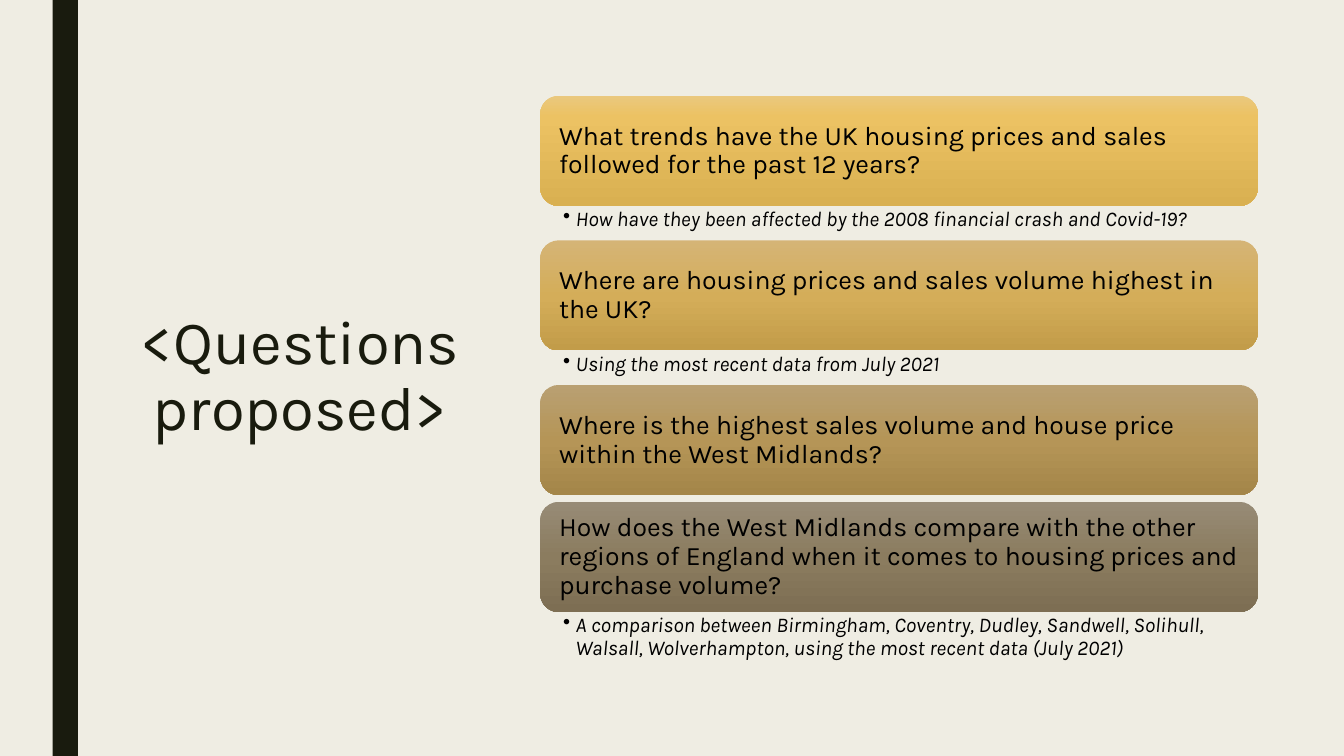
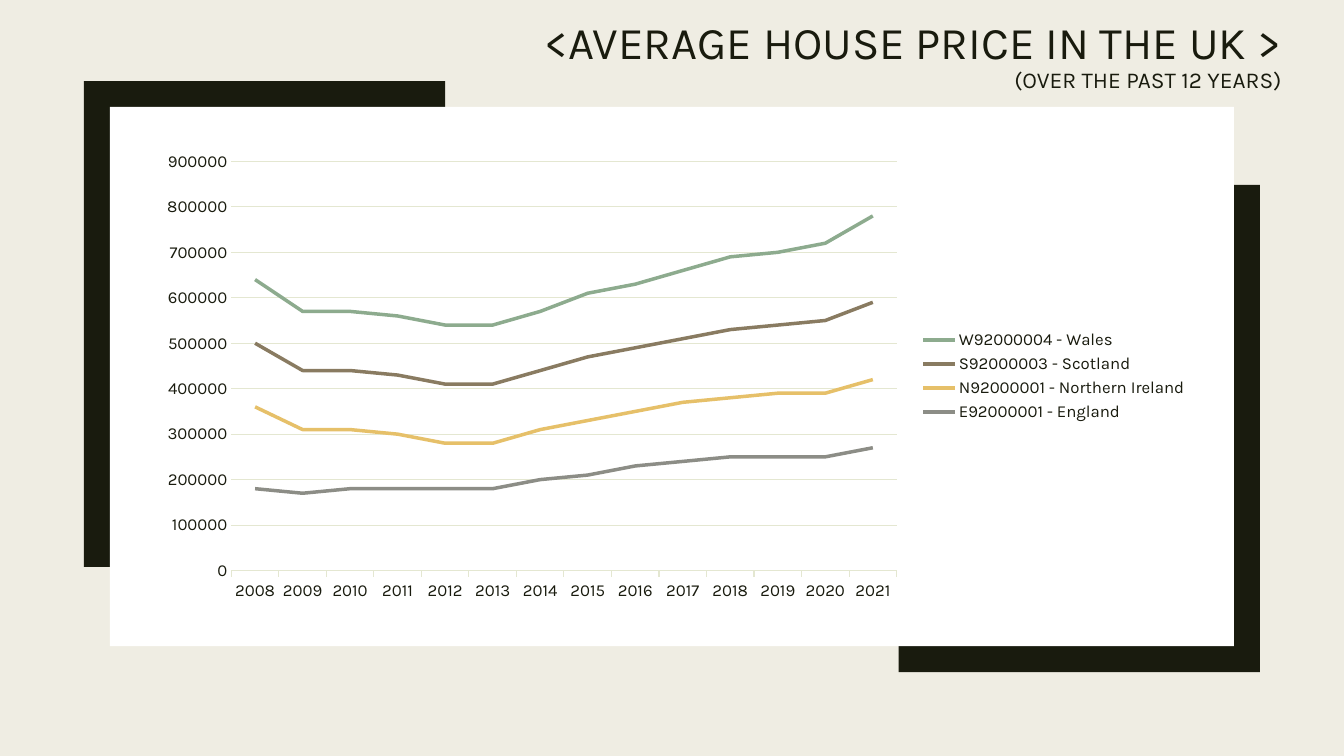
import copy

import lxml.etree
import pptx
import pptx.chart.data
import pptx.dml.color
import pptx.enum.chart
import pptx.enum.shapes
import pptx.enum.text
import pptx.oxml.ns
import pptx.util

Pt = pptx.util.Pt
qn = pptx.oxml.ns.qn
ALIGN = pptx.enum.text.PP_ALIGN
ANCHOR = pptx.enum.text.MSO_ANCHOR
SHAPE = pptx.enum.shapes.MSO_SHAPE
TICK = pptx.enum.chart.XL_TICK_MARK

# Shared look
WIDTH, HEIGHT = 960, 540
FONT = "Karla"
CREAM, DARK, WHITE, BLACK, GRID = "EFEDE3", "191B0E", "FFFFFF", "000000", "E4E7D1"

# Questions: text, note, note height, gradient stops
QUESTIONS = [
    ("What trends have the UK housing prices and sales followed for the past 12 years?",
     "How have they been affected by the 2008 financial crash and Covid-19?", 24.6,
     [(0, "EAC87E"), (0.19, "ECC263"), (1, "D9B051")]),
    ("Where are housing prices and sales volume highest in the UK?",
     "Using the most recent data from July 2021", 24.6,
     [(0, "D5B476"), (0.5, "D4AD59"), (1, "C29C49")]),
    ("Where is the highest sales volume and house price within the West Midlands?",
     None, 4.8,
     [(0, "B9A072"), (0.5, "B59557"), (1, "A48649")]),
    ("How does the West Midlands compare with the other regions of England when it "
     "comes to housing prices and purchase volume?",
     "A comparison between Birmingham, Coventry, Dudley, Sandwell, Solihull, Walsall, "
     "Wolverhampton, using the most recent data (July 2021)", 34.8,
     [(0, "978B76"), (0.5, "8B7C5F"), (1, "7D6E53")]),
]

# Average prices in thousands, 2008 to 2021
PRICES = [
    ("E92000001 - England", "8C8D86",
     [180, 170, 180, 180, 180, 180, 200, 210, 230, 240, 250, 250, 250, 270]),
    ("N92000001 - Northern Ireland", "E6C069",
     [180, 140, 130, 120, 100, 100, 110, 120, 120, 130, 130, 140, 140, 150]),
    ("S92000003 - Scotland", "897B61",
     [140, 130, 130, 130, 130, 130, 130, 140, 140, 140, 150, 150, 160, 170]),
    ("W92000004 - Wales", "8DAB8E",
     [140, 130, 130, 130, 130, 130, 130, 140, 140, 150, 160, 160, 170, 190]),
]


def rgb(hex_colour):
    return pptx.dml.color.RGBColor.from_string(hex_colour)


def apply(target, values):
    for name, value in values.items():
        setattr(target, name, value)


def style_font(font, size, colour, italic=False):
    apply(font, {"name": FONT, "size": Pt(size), "italic": italic})
    font.color.rgb = rgb(colour)


def style_line(line, colour, width):
    line.color.rgb = rgb(colour)
    line.width = Pt(width)


def paint(shape, colour):
    shape.shadow.inherit = False
    shape.line.fill.background()
    shape.fill.solid()
    shape.fill.fore_color.rgb = rgb(colour)


def paint_gradient(shape, stops):
    """Fill from top to bottom with three colour stops."""
    paint(shape, stops[0][1])
    shape.fill.gradient()
    shape.fill.gradient_angle = 270
    stop_list = shape._element.spPr.find(qn("a:gradFill")).find(qn("a:gsLst"))
    stop_list.append(copy.deepcopy(stop_list[-1]))
    for stop, (position, colour) in zip(shape.fill.gradient_stops, stops):
        stop.color.rgb = rgb(colour)
        stop.position = position


def add_box(slide, kind, left, top, width, height):
    return slide.shapes.add_shape(kind, Pt(left), Pt(top), Pt(width), Pt(height))


def add_text_area(slide, left, top, width, height):
    return slide.shapes.add_textbox(Pt(left), Pt(top), Pt(width), Pt(height))


def write(shape, lines, colour, align, anchor, spacing, margins, italic=False):
    """Write one paragraph of (text, size) lines; margins: left, top, right, bottom."""
    frame = shape.text_frame
    sides = ("margin_left", "margin_top", "margin_right", "margin_bottom")
    apply(frame, {"word_wrap": True, "vertical_anchor": anchor})
    apply(frame, {side: Pt(margin) for side, margin in zip(sides, margins)})
    paragraph = frame.paragraphs[0]
    apply(paragraph, {"alignment": align, "line_spacing": spacing})
    for number, (text, size) in enumerate(lines):
        if number:
            paragraph.add_line_break()
        run = paragraph.add_run()
        run.text = text
        style_font(run.font, size, colour, italic)
    return paragraph


def add_title(slide, area, lines, align, anchor):
    write(add_text_area(slide, *area), lines, DARK, align, anchor, 0.89,
          (7.2, 3.6, 7.2, 3.6))


def add_bullet(paragraph, indent):
    properties = paragraph._p.get_or_add_pPr()
    properties.set("marL", str(Pt(indent)))
    properties.set("indent", str(-Pt(indent)))
    lxml.etree.SubElement(properties, qn("a:buChar")).set("char", "•")


def add_question(slide, top, height, question, note, note_height, stops):
    left, width = 385.9, 512.6
    card = add_box(slide, SHAPE.ROUNDED_RECTANGLE, left, top, width, height)
    paint_gradient(card, stops)
    write(card, [(question, 19)], BLACK, ALIGN.LEFT, ANCHOR.MIDDLE, 0.9, (9.6,) * 4)
    if note:
        area = add_text_area(slide, left, top + height, width, note_height)
        paragraph = write(area, [(note, 15)], BLACK, ALIGN.LEFT, ANCHOR.TOP, 0.9,
                          (16.3, 1.9, 10.7, 1.9), italic=True)
        add_bullet(paragraph, 9)


def add_outline(slide, points):
    builder = slide.shapes.build_freeform(*points[0], scale=Pt(1))
    builder.add_line_segments(points[1:], close=True)
    paint(builder.convert_to_shape(), DARK)


def add_framed_panel(slide, left, top, width, height):
    """White panel with a corner bracket and its half-turn about the centre."""
    bracket = [(867.6, 132.5), (900, 132.5), (900, 479.5),
               (642.2, 479.5), (642.2, 449.3), (867.6, 449.3)]
    across, down = 2 * left + width, 2 * top + height
    add_outline(slide, bracket)
    add_outline(slide, [(across - x, down - y) for x, y in bracket])
    paint(add_box(slide, SHAPE.RECTANGLE, left, top, width, height), WHITE)


def add_price_chart(slide, left, top, width, height):
    prices = pptx.chart.data.CategoryChartData()
    prices.categories = [str(year) for year in range(2008, 2022)]
    for region, _, thousands in PRICES:
        prices.add_series(region, [value * 1000 for value in thousands])
    chart = slide.shapes.add_chart(
        pptx.enum.chart.XL_CHART_TYPE.LINE_STACKED,
        Pt(left), Pt(top), Pt(width), Pt(height), prices).chart
    apply(chart, {"has_title": False, "has_legend": True})
    style_font(chart.font, 10, BLACK)

    # Legend
    apply(chart.legend, {"position": pptx.enum.chart.XL_LEGEND_POSITION.RIGHT,
                         "include_in_layout": False})
    style_font(chart.legend.font, 12, DARK)

    # Axes
    years, amounts = chart.category_axis, chart.value_axis
    for axis, tick in ((years, TICK.OUTSIDE), (amounts, TICK.NONE)):
        apply(axis, {"major_tick_mark": tick, "minor_tick_mark": TICK.NONE})
        style_font(axis.tick_labels.font, 12, DARK)
    apply(amounts, {"minimum_scale": 0, "maximum_scale": 900000,
                    "major_unit": 100000, "has_major_gridlines": True})
    style_line(years.format.line, GRID, 0.75)
    style_line(amounts.major_gridlines.format.line, GRID, 0.75)
    amounts.format.line.fill.background()

    # Lines
    plot = chart.plots[0]
    plot.vary_by_categories = False
    for region, (_, colour, _) in zip(plot.series, PRICES):
        region.smooth = False
        style_line(region.format.line, colour, 2.5)
        region.marker.style = pptx.enum.chart.XL_MARKER_STYLE.NONE


def build_questions(slide):
    paint(add_box(slide, SHAPE.RECTANGLE, 37.6, 0, 18, HEIGHT), DARK)
    add_title(slide, (50.4, 50.4, 328.3, 439.2), [("<Questions proposed>", 44)],
              ALIGN.CENTER, ANCHOR.MIDDLE)
    top, card_height = 68.4, 78.7
    for question, note, note_height, stops in QUESTIONS:
        add_question(slide, top, card_height, question, note, note_height, stops)
        top += card_height + note_height


def build_prices(slide):
    add_framed_panel(slide, 78.5, 76.3, 802.8, 385.2)
    add_price_chart(slide, 104.4, 101.5, 751.7, 334.1)
    add_title(slide, (144, 11.5, 778.3, 60.5),
              [("<AVERAGE HOUSE PRICE IN THE UK >", 32.4),
               ("(OVER THE PAST 12 YEARS)", 16.2)],
              ALIGN.RIGHT, ANCHOR.TOP)


def main():
    deck = pptx.Presentation()
    apply(deck, {"slide_width": Pt(WIDTH), "slide_height": Pt(HEIGHT)})
    backdrop = deck.slide_master.background.fill
    backdrop.solid()
    backdrop.fore_color.rgb = rgb(CREAM)
    for build in (build_questions, build_prices):
        build(deck.slides.add_slide(deck.slide_layouts[6]))
    deck.save("out.pptx")


if __name__ == "__main__":
    main()
